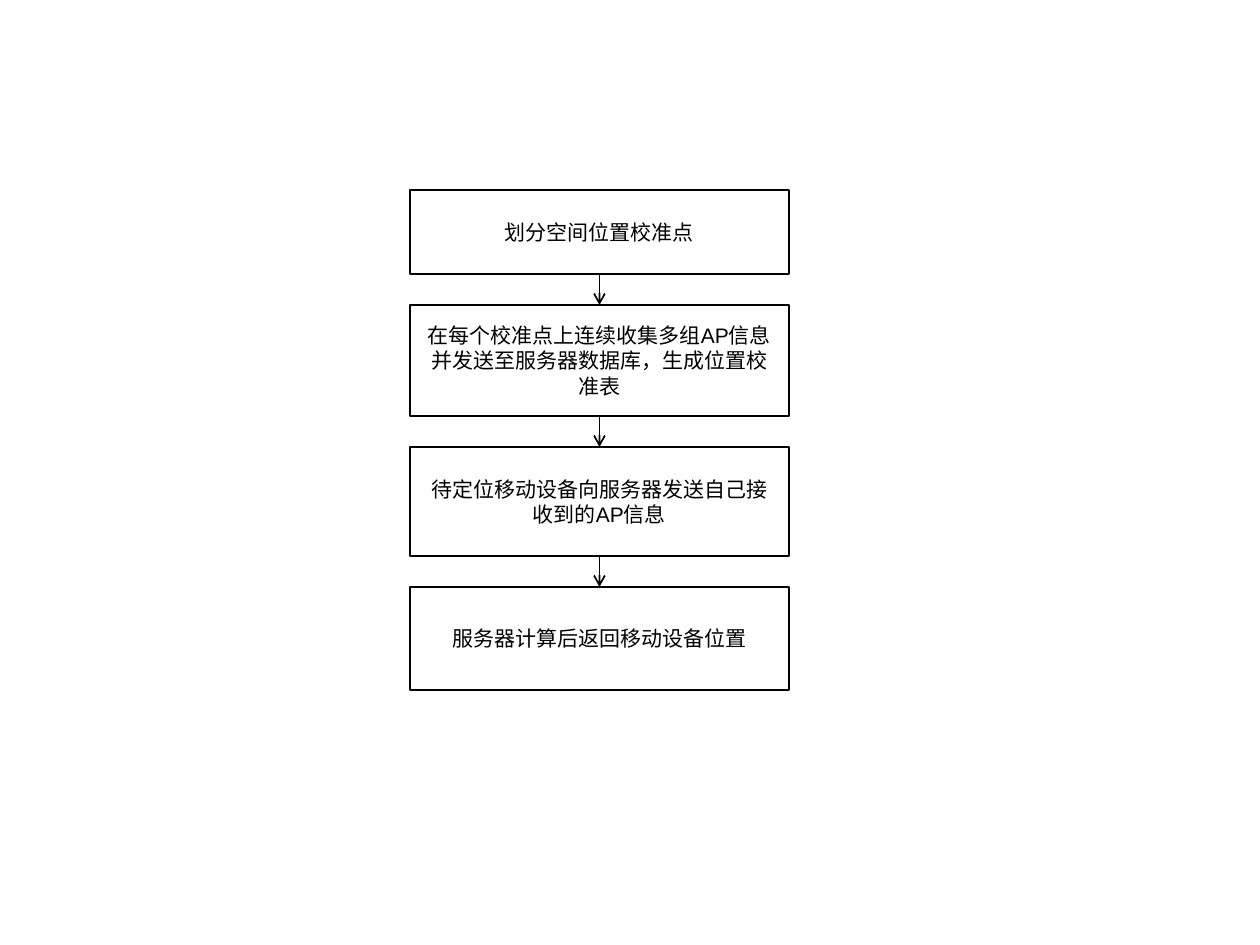
import pptx
import pptx.util
import pptx.dml.color
import pptx.enum.shapes
import pptx.enum.text
import pptx.oxml.ns
from lxml import etree

SCALE = 914400 // 126
LEFT, TOP, WIDTH, GAP = 410, 190, 379, 31
BLACK = "000000"
STEPS = [
    ("划分空间位置校准点", 84),
    ("在每个校准点上连续收集多组AP信息并发送至服务器数据库，生成位置校准表", 111),
    ("待定位移动设备向服务器发送自己接收到的AP信息", 109),
    ("服务器计算后返回移动设备位置", 103),
]


def px(count):
    return pptx.util.Emu(count * SCALE)


def color(code):
    return pptx.dml.color.RGBColor.from_string(code)


def stroke(line):
    line.color.rgb = color(BLACK)
    line.width = pptx.util.Pt(1)


def add_step(slide, text, top, height):
    kind = pptx.enum.shapes.MSO_SHAPE.RECTANGLE
    box = slide.shapes.add_shape(kind, px(LEFT), px(top), px(WIDTH), px(height))
    box.shadow.inherit = False
    box.fill.background()
    stroke(box.line)
    frame = box.text_frame
    frame.word_wrap = True
    frame.vertical_anchor = pptx.enum.text.MSO_ANCHOR.MIDDLE
    para = frame.paragraphs[0]
    para.alignment = pptx.enum.text.PP_ALIGN.CENTER
    run = para.add_run()
    run.text = text
    run.font.name = "Arial"
    run.font.size = pptx.util.Pt(12)
    run.font.color.rgb = color(BLACK)


def add_arrow(slide, start, end):
    mid = px(LEFT) + px(WIDTH) // 2
    kind = pptx.enum.shapes.MSO_CONNECTOR.STRAIGHT
    arrow = slide.shapes.add_connector(kind, mid, px(start), mid, px(end))
    stroke(arrow.line)
    qn = pptx.oxml.ns.qn
    props = arrow.element.find(qn("p:spPr"))
    etree.SubElement(props.find(qn("a:ln")), qn("a:tailEnd"), type="arrow")
    etree.SubElement(props, qn("a:effectLst"))


def main():
    deck = pptx.Presentation()
    deck.slide_width = px(1260)
    deck.slide_height = px(945)
    slide = deck.slides.add_slide(deck.slide_layouts[6])
    top = TOP
    spans = []
    for text, height in STEPS:
        add_step(slide, text, top, height)
        spans.append((top + height, top + height + GAP))
        top += height + GAP
    for start, end in spans[:-1]:
        add_arrow(slide, start, end)
    deck.save("out.pptx")


if __name__ == "__main__":
    main()
